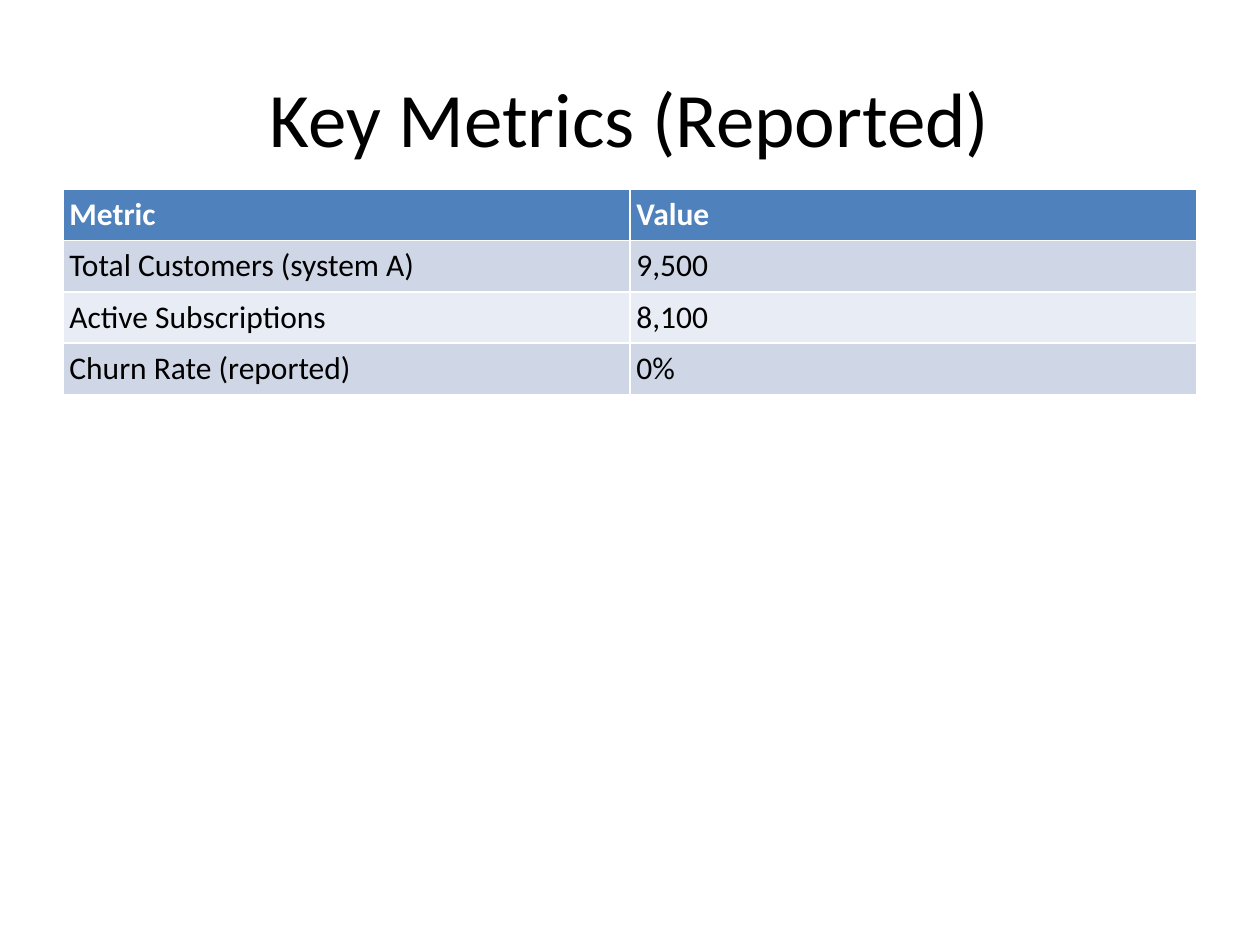
from dataclasses import dataclass

from pptx import Presentation
from pptx.dml.color import RGBColor
from pptx.enum.text import MSO_ANCHOR as Anchor, PP_ALIGN as Align
from pptx.util import Cm, Pt

MARGIN = Cm(1.27)
CONTENT_WIDTH = Cm(22.86)
ROW_HEIGHT = Cm(0.95)
INSET = Cm(0.13)


@dataclass(frozen=True)
class Metric:
    name: str
    value: str


@dataclass(frozen=True)
class RowStyle:
    fill: str
    text: str
    bold: bool = False


HEADER = Metric("Metric", "Value")
METRICS = [
    Metric("Total Customers (system A)", "9,500"),
    Metric("Active Subscriptions", "8,100"),
    Metric("Churn Rate (reported)", "0%"),
]
HEADER_STYLE = RowStyle("4F81BD", "FFFFFF", bold=True)
BAND_STYLES = [RowStyle("CFD7E7", "000000"), RowStyle("E8ECF4", "000000")]


def color(value: str) -> RGBColor:
    return RGBColor.from_string(value)


def set_inset(target) -> None:
    for side in ("left", "top", "right", "bottom"):
        setattr(target, f"margin_{side}", INSET)


def write(frame, text: str, text_color: str, **font_values) -> None:
    span = frame.paragraphs[0].add_run()
    span.text = text
    span.font.color.rgb = color(text_color)
    for name, value in {"name": "Calibri", **font_values}.items():
        setattr(span.font, name, value)


def add_title(page, text: str) -> None:
    title = page.shapes.title
    place = {"left": MARGIN, "top": Cm(0.76), "width": CONTENT_WIDTH, "height": Cm(3.18)}
    for name, value in place.items():
        setattr(title, name, value)
    frame = title.text_frame
    frame.vertical_anchor = Anchor.MIDDLE
    set_inset(frame)
    write(frame, text, "000000", size=Pt(44))
    frame.paragraphs[0].alignment = Align.CENTER


def fill_row(row, metric: Metric, style: RowStyle) -> None:
    row.height = ROW_HEIGHT
    for cell, text in zip(row.cells, (metric.name, metric.value)):
        set_inset(cell)
        cell.fill.solid()
        cell.fill.fore_color.rgb = color(style.fill)
        write(cell.text_frame, text, style.text, size=Pt(18), bold=style.bold)


def add_metrics_table(page) -> None:
    row_count = len(METRICS) + 1
    table = page.shapes.add_table(
        row_count, 2, MARGIN, Cm(3.81), CONTENT_WIDTH, ROW_HEIGHT * row_count
    ).table
    fill_row(table.rows[0], HEADER, HEADER_STYLE)
    for index, metric in enumerate(METRICS):
        style = BAND_STYLES[index % len(BAND_STYLES)]
        fill_row(table.rows[index + 1], metric, style)


def main() -> None:
    deck = Presentation()
    deck.slide_width, deck.slide_height = Cm(25.4), Cm(19.05)

    # "Title Only" layout
    page = deck.slides.add_slide(deck.slide_layouts[5])
    add_title(page, "Key Metrics (Reported)")
    add_metrics_table(page)
    deck.save("out.pptx")


if __name__ == "__main__":
    main()
